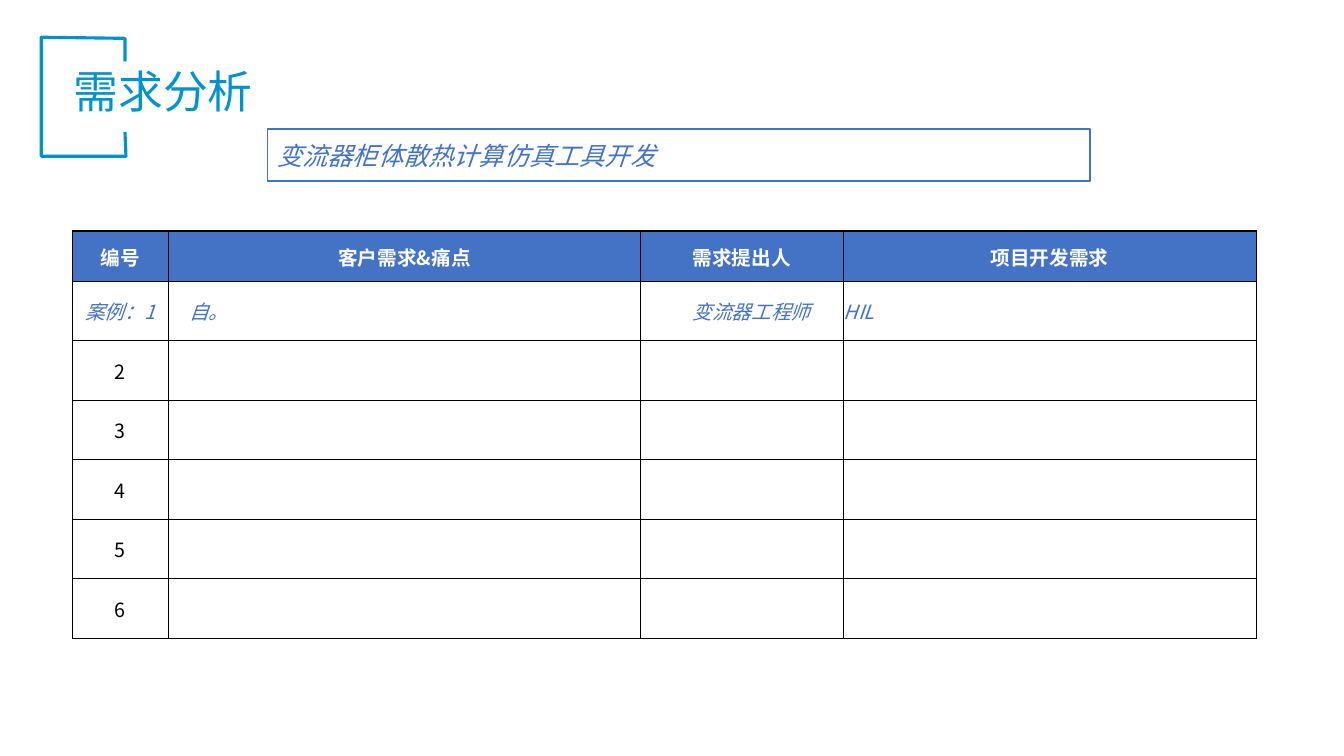
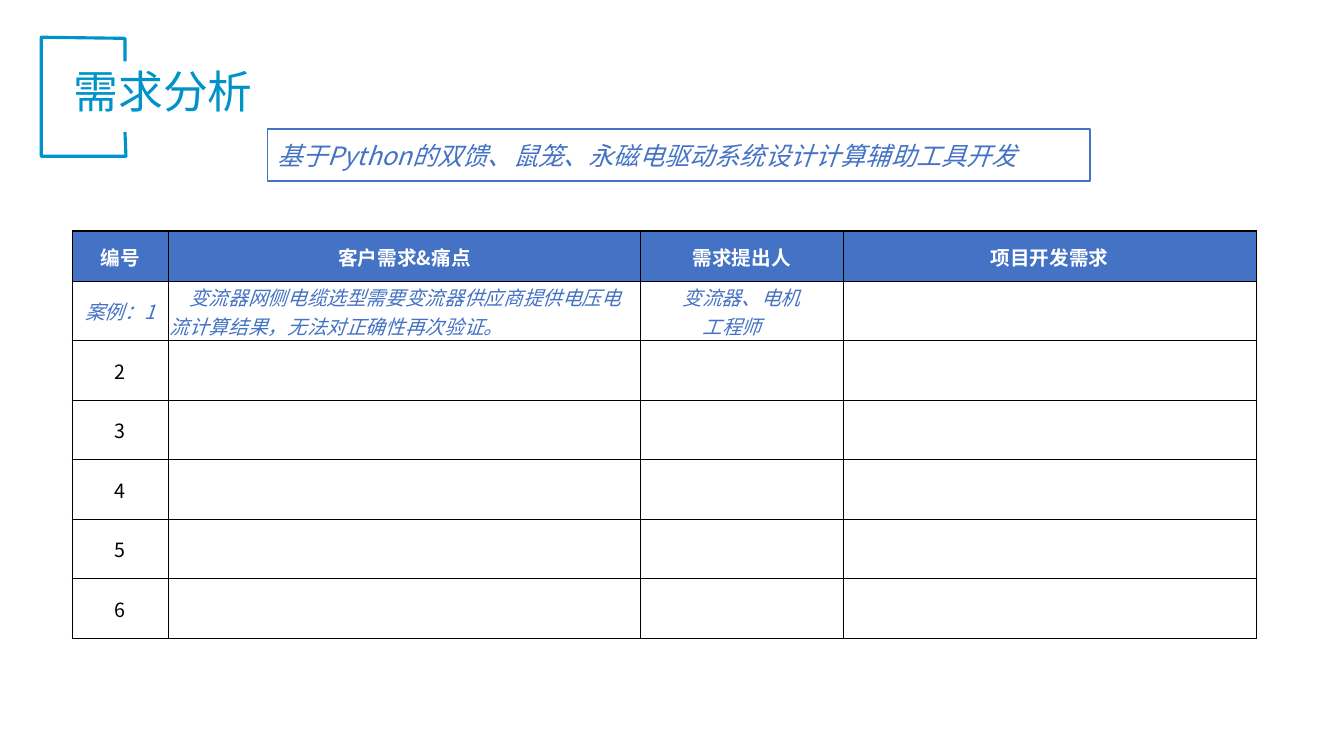
from dataclasses import dataclass
from typing import Any

from lxml import etree
from pptx import Presentation
from pptx import util as u
from pptx.dml import color
from pptx.enum import shapes, text
from pptx.oxml import ns

Pt = u.Pt
CENTER, LEFT = text.PP_ALIGN.CENTER, text.PP_ALIGN.LEFT


@dataclass(frozen=True)
class Theme:
    font: str = "Noto Sans CJK SC"
    title: str = "0093CA"
    accent: str = "4472C4"
    white: str = "FFFFFF"
    black: str = "000000"
    title_size: float = 32
    project_size: float = 18
    table_size: float = 14
    bracket_line: float = 2.25
    project_line: float = 1
    grid_line: float = 0.5
    header_line: float = 1


@dataclass(frozen=True)
class Need:
    project: str
    pain: str
    proposer: str
    development: str


THEME = Theme()
TITLE = "需求分析"
HEADINGS = ("编号", "客户需求&痛点", "需求提出人", "项目开发需求")
COLUMN_WIDTHS = (69.1, 337, 144.7, 295.2)
COLUMN_ALIGNS = (CENTER, LEFT, CENTER, LEFT)
HEADER_HEIGHT, ROW_HEIGHT = 35.8, 42.5
LAST_NUMBER = 6
BRACKET = ((89.3, 94.3), (90, 111.6), (29.5, 111.6),
           (29.5, 26.6), (89.3, 27.4), (89.3, 43.9))

TITLE_FORMAT = {"size": Pt(THEME.title_size), "color": THEME.title}
PROJECT_FORMAT = {"size": Pt(THEME.project_size), "color": THEME.accent, "italic": True}
HEADER_FORMAT = {"size": Pt(THEME.table_size), "color": THEME.white, "bold": True}
CASE_FORMAT = {"size": Pt(THEME.table_size), "color": THEME.accent, "italic": True}
NUMBER_FORMAT = {"size": Pt(THEME.table_size), "color": THEME.black}

NEEDS = (
    Need("变流器柜体散热计算仿真工具开发", "　自。", "　变流器工程师", "HIL"),
    Need("基于Python的双馈、鼠笼、永磁电驱动系统设计计算辅助工具开发",
         "　变流器网侧电缆选型需要变流器供应商提供电压电流计算结果，无法对正确性再次验证。",
         "变流器、电机\n工程师　", ""),
)


def rgb(code: str) -> color.RGBColor:
    return color.RGBColor.from_string(code)


def write(frame: Any, words: str, style: dict[str, Any], align: Any = LEFT) -> None:
    for index, line in enumerate(words.split("\n")):
        paragraph = frame.paragraphs[0] if index == 0 else frame.add_paragraph()
        paragraph.alignment = align
        run = paragraph.add_run()
        run.text = line
        run.font.name = THEME.font
        for key, value in style.items():
            if key == "color":
                run.font.color.rgb = rgb(value)
            else:
                setattr(run.font, key, value)
        east_asian = etree.SubElement(run.font._element, ns.qn("a:ea"))
        east_asian.set("typeface", THEME.font)


def outline(shape: Any, line_color: str, width: float) -> None:
    shape.shadow.inherit = False
    shape.fill.background()
    shape.line.color.rgb = rgb(line_color)
    shape.line.width = Pt(width)


def draw_title(slide: Any) -> None:
    points = [(Pt(x), Pt(y)) for x, y in BRACKET]
    builder = slide.shapes.build_freeform(*points[0])
    builder.add_line_segments(points[1:], close=False)
    outline(builder.convert_to_shape(), THEME.title, THEME.bracket_line)

    title = slide.shapes.add_textbox(Pt(45.4), Pt(46.1), Pt(702), Pt(46.1))
    frame = title.text_frame
    frame.word_wrap = True
    frame.auto_size = text.MSO_AUTO_SIZE.SHAPE_TO_FIT_TEXT
    write(frame, TITLE, TITLE_FORMAT)
    frame.paragraphs[0].line_spacing = 0.9


def draw_project(slide: Any, project: str) -> None:
    box = slide.shapes.add_shape(
        shapes.MSO_SHAPE.RECTANGLE, Pt(191), Pt(92), Pt(587.5), Pt(37.4))
    outline(box, THEME.accent, THEME.project_line)
    box.text_frame.word_wrap = True
    box.text_frame.vertical_anchor = text.MSO_ANCHOR.MIDDLE
    write(box.text_frame, project, PROJECT_FORMAT)


def add_borders(cell: Any, top_width: float) -> None:
    properties = cell._tc.get_or_add_tcPr()
    for side in "LRTB":
        width = top_width if side == "T" else THEME.grid_line
        border = etree.SubElement(properties, ns.qn(f"a:ln{side}"), w=str(Pt(width)))
        fill = etree.SubElement(border, ns.qn("a:solidFill"))
        etree.SubElement(fill, ns.qn("a:srgbClr"), val=THEME.black)


def draw_cell(cell: Any, words: str, style: dict[str, Any], align: Any,
              header: bool) -> None:
    layout = {"vertical_anchor": text.MSO_ANCHOR.MIDDLE, "margin_left": Pt(0.7),
              "margin_top": Pt(0.7), "margin_right": Pt(0.7), "margin_bottom": Pt(0)}
    for key, value in layout.items():
        setattr(cell, key, value)
    add_borders(cell, THEME.header_line if header else THEME.grid_line)
    if header:
        cell.fill.solid()
        cell.fill.fore_color.rgb = rgb(THEME.accent)
    else:
        cell.fill.background()
    if words:
        write(cell.text_frame, words, style, align)


def draw_needs(slide: Any, need: Need) -> None:
    case = ("案例：1", need.pain, need.proposer, need.development)
    numbered = [(str(number), "", "", "") for number in range(2, LAST_NUMBER + 1)]
    rows = [HEADINGS, case, *numbered]
    heights = [HEADER_HEIGHT] + [ROW_HEIGHT] * LAST_NUMBER
    table = slide.shapes.add_table(
        len(rows), len(HEADINGS), Pt(51.4), Pt(165),
        Pt(sum(COLUMN_WIDTHS)), Pt(sum(heights))).table
    table.first_row = table.horz_banding = False
    for column, width in zip(table.columns, COLUMN_WIDTHS):
        column.width = Pt(width)
    for row_index, (row, height) in enumerate(zip(rows, heights)):
        table.rows[row_index].height = Pt(height)
        header = row_index == 0
        style = (HEADER_FORMAT, CASE_FORMAT, NUMBER_FORMAT)[min(row_index, 2)]
        for column_index, words in enumerate(row):
            align = CENTER if header else COLUMN_ALIGNS[column_index]
            draw_cell(table.cell(row_index, column_index), words, style, align, header)


def main() -> None:
    deck = Presentation()
    deck.slide_width, deck.slide_height = Pt(960), Pt(540)
    blank = deck.slide_layouts[6]
    for need in NEEDS:
        slide = deck.slides.add_slide(blank)
        draw_title(slide)
        draw_needs(slide, need)
        draw_project(slide, need.project)
    deck.save("out.pptx")


if __name__ == "__main__":
    main()
